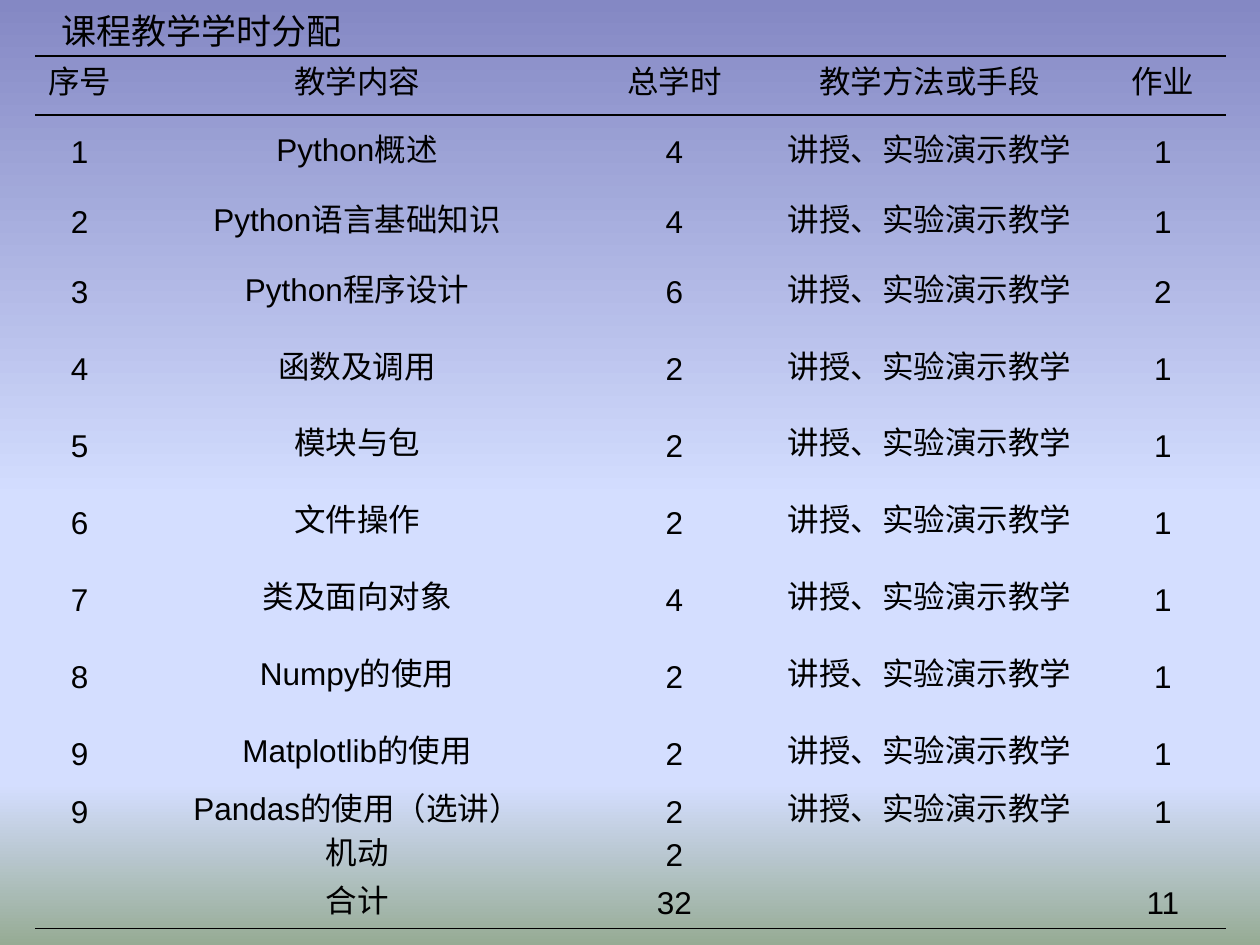
from copy import deepcopy

from lxml.etree import SubElement
from pptx import Presentation
from pptx.dml.color import RGBColor
from pptx.enum.text import MSO_ANCHOR, PP_ALIGN
from pptx.oxml.ns import qn
from pptx.util import Pt

PX = 914400 // 126
BLACK = RGBColor(0x00, 0x00, 0x00)
BACKGROUND_STOPS = [
    (0, RGBColor(0x84, 0x88, 0xC4)),
    (0.53, RGBColor(0xD4, 0xDE, 0xFF)),
    (0.83, RGBColor(0xD4, 0xDE, 0xFF)),
    (1, RGBColor(0x96, 0xAB, 0x94)),
]
NO_STYLE_NO_GRID = "{2D5ABB26-0587-4C30-8999-92F81FD0307C}"

HEADER = ("序号", "教学内容", "总学时", "教学方法或手段", "作业")
METHOD = "讲授、实验演示教学"
LESSONS = [
    ("1", "Python概述", "4", "1"),
    ("2", "Python语言基础知识", "4", "1"),
    ("3", "Python程序设计", "6", "2"),
    ("4", "函数及调用", "2", "1"),
    ("5", "模块与包", "2", "1"),
    ("6", "文件操作", "2", "1"),
    ("7", "类及面向对象", "4", "1"),
    ("8", "Numpy的使用", "2", "1"),
    ("9", "Matplotlib的使用", "2", "1"),
    ("9", "Pandas的使用（选讲）", "2", "1"),
]
ROWS = [
    HEADER,
    *((number, topic, hours, METHOD, tasks) for number, topic, hours, tasks in LESSONS),
    ("", "机动", "2", "", ""),
    ("", "合计", "32", "", "11"),
]
COLUMN_WIDTHS = [89, 466, 169, 341, 126]
ROW_HEIGHTS = [59, 77, 63] + [77] * 7 + [39] * 3


def paint_background(s):
    fill = s.background.fill
    fill.gradient()
    fill.gradient_angle = 270
    stop_list = s.element.xpath(".//a:gsLst")[0]
    while len(stop_list) < len(BACKGROUND_STOPS):
        stop_list.append(deepcopy(stop_list[0]))
    for stop, (position, color) in zip(fill.gradient_stops, BACKGROUND_STOPS):
        stop.position = position
        stop.color.rgb = color


def add_title(s, x, y, w, h):
    tf = s.shapes.add_textbox(x * PX, y * PX, w * PX, h * PX).text_frame
    tf.word_wrap = True
    tf.vertical_anchor = MSO_ANCHOR.MIDDLE
    p = tf.paragraphs[0]
    r = p.add_run()
    r.text = "课程教学学时分配"
    r.font.size = Pt(20)
    r.font.name = "Noto Sans CJK SC"
    r.font.color.rgb = BLACK
    SubElement(r.font._element, qn("a:ea"), typeface="Noto Sans CJK SC")
    p._p.get_or_add_pPr().set("indent", str(49 * PX))


def add_rule(cell, side):
    """Draw a black rule on the cell's top (lnT) or bottom (lnB) edge."""
    line = SubElement(cell._tc.get_or_add_tcPr(), qn(f"a:{side}"), w=str(Pt(1)))
    solid = SubElement(line, qn("a:solidFill"))
    SubElement(solid, qn("a:srgbClr"), val=str(BLACK))


def fill_cell(cell, text):
    cell.fill.background()
    cell.text = text
    p = cell.text_frame.paragraphs[0]
    p.alignment = PP_ALIGN.CENTER
    p.line_spacing = Pt(19)
    p.font.size = Pt(18)
    p.font.name = "Arial"
    p.font.color.rgb = BLACK
    if text:
        cell.vertical_anchor = MSO_ANCHOR.MIDDLE
        cell.margin_left = cell.margin_right = 9 * PX
        cell.margin_top = cell.margin_bottom = 0


def add_schedule(s, x, y):
    frame = s.shapes.add_table(
        len(ROWS), len(HEADER), x * PX, y * PX,
        sum(COLUMN_WIDTHS) * PX, sum(ROW_HEIGHTS) * PX)
    frame.element.xpath(".//a:tableStyleId")[0].text = NO_STYLE_NO_GRID
    table = frame.table
    table.first_row = table.horz_banding = False
    for column, width in zip(table.columns, COLUMN_WIDTHS):
        column.width = width * PX
    for i, (row, height) in enumerate(zip(table.rows, ROW_HEIGHTS)):
        row.height = height * PX
        for cell, text in zip(row.cells, ROWS[i]):
            if i == 0:
                add_rule(cell, "lnT")
            if i in (0, len(ROWS) - 1):
                add_rule(cell, "lnB")
            fill_cell(cell, text)


def main():
    prs = Presentation()
    prs.slide_width, prs.slide_height = 1260 * PX, 945 * PX
    s = prs.slides.add_slide(prs.slide_layouts[6])
    paint_background(s)
    add_schedule(s, 35, 56)
    add_title(s, 0, 3, 393, 55)
    prs.save("out.pptx")


if __name__ == "__main__":
    main()
